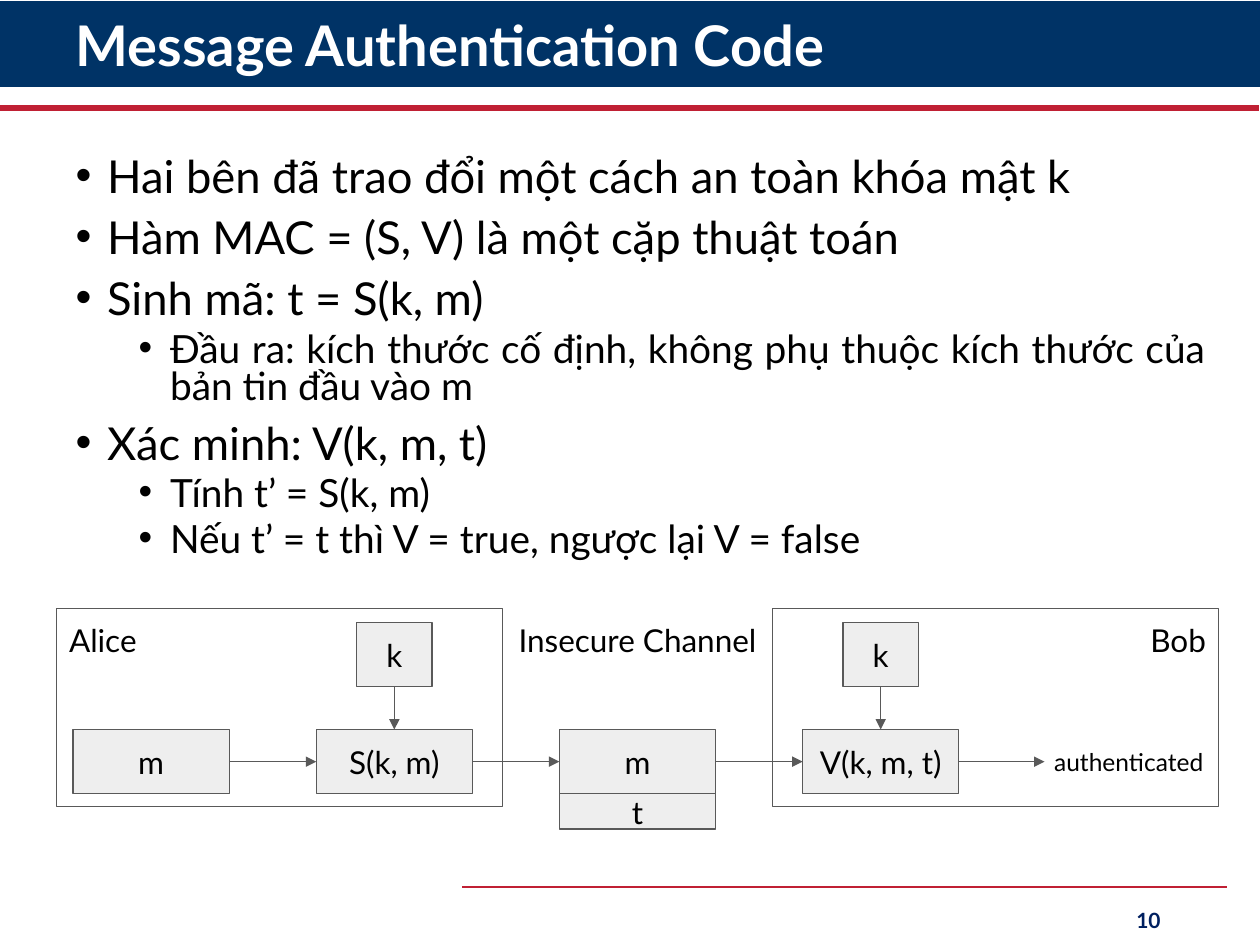
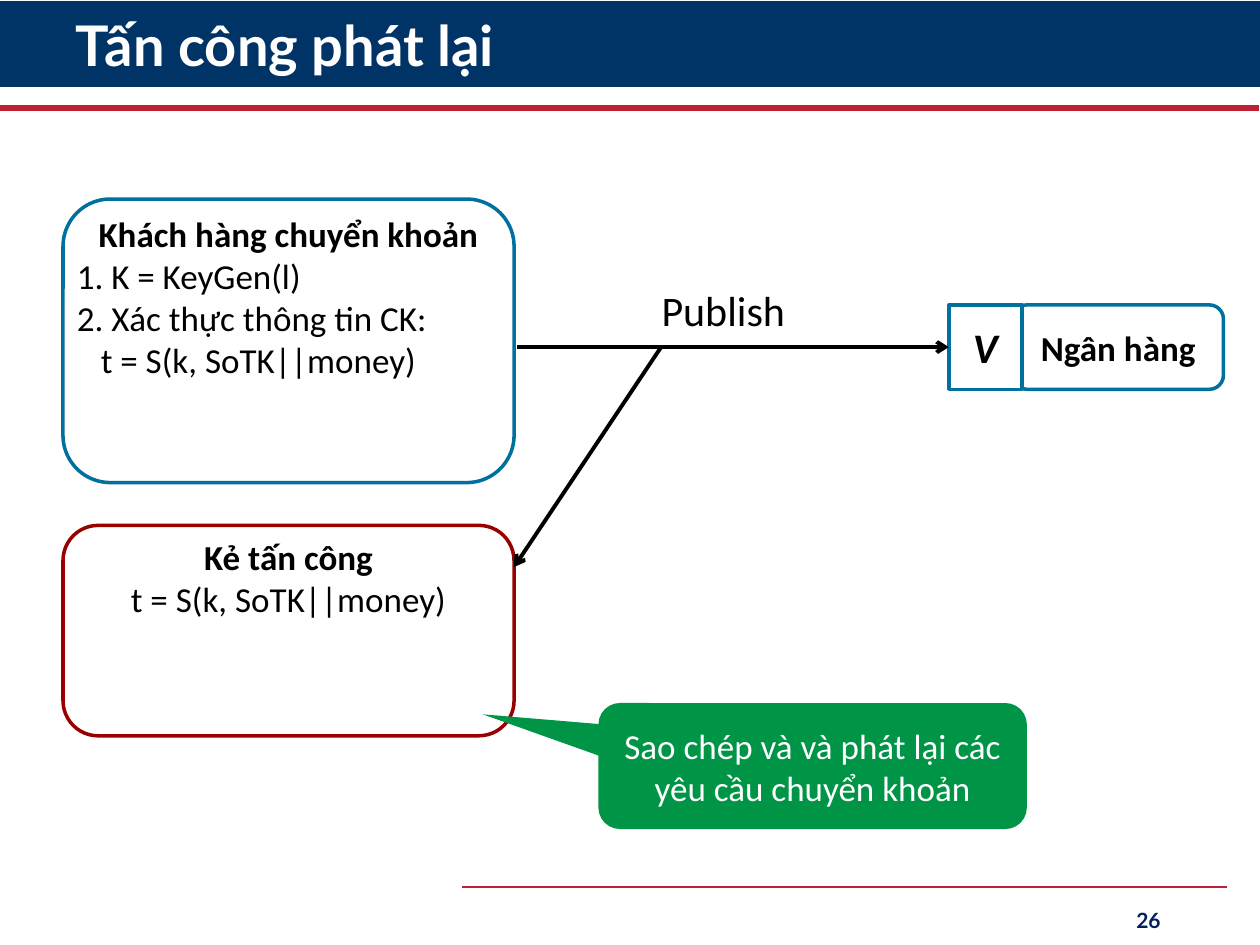
from pptx import Presentation
from pptx.dml.color import RGBColor
from pptx.enum.shapes import MSO_CONNECTOR, MSO_SHAPE
from pptx.enum.text import MSO_ANCHOR, MSO_AUTO_SIZE, PP_ALIGN
from pptx.oxml.ns import qn
from pptx.util import Inches, Pt
from lxml.etree import SubElement

COLORS = {
    "navy": "003366", "red": "C02034", "number": "002060", "white": "FFFFFF",
    "black": "000000", "gray": "595959", "light": "EEEEEE",
    "blue": "00709E", "crimson": "990000", "green": "009446",
}
LEFT, CENTER, RIGHT, JUSTIFY = PP_ALIGN.LEFT, PP_ALIGN.CENTER, PP_ALIGN.RIGHT, PP_ALIGN.JUSTIFY
TOP, MIDDLE = MSO_ANCHOR.TOP, MSO_ANCHOR.MIDDLE

# Slide 1: (level, text), then the diagram
MAC_TITLE, MAC_NUMBER = "Message Authentication Code", 10
MAC_POINTS = [
    (0, "Hai bên đã trao đổi một cách an toàn khóa mật k"),
    (0, "Hàm MAC = (S, V) là một cặp thuật toán"),
    (0, "Sinh mã: t = S(k, m)"),
    (1, "Đầu ra: kích thước cố định, không phụ thuộc kích thước của bản tin đầu vào m"),
    (0, "Xác minh: V(k, m, t)"),
    (1, "Tính t’ = S(k, m)"),
    (1, "Nếu t’ = t thì V = true, ngược lại V = false"),
]
LEVELS = [  # size, left margin, space before
    (25.9, 0.25, 10),
    (22.2, 0.75, 5),
]
STEPS = ["m", "S(k, m)", "m", "V(k, m, t)"]
KEYED_STEPS = [1, 3]
PARTY_X = [6.13, 0.45]
PARTY_Y, PARTY_W, PARTY_H = 4.83, 3.54, 1.57
STEP_X, STEP_Y, STEP_W, STEP_H, STEP_PITCH = 0.58, 5.79, 1.24, 0.51, 1.93
KEY_Y, KEY_W, TAG_H = 4.94, 0.6, 0.28
DIAGRAM_LABELS = [  # text, box, alignment, size
    ("Alice", (0.45, PARTY_Y, 0.84, 0.5), LEFT, 18),
    ("Bob", (8.83, PARTY_Y, 0.84, 0.5), RIGHT, 18),
    ("Insecure Channel", (3.99, PARTY_Y, 2.14, 0.5), CENTER, 18),
    ("authenticated", (8.01, 5.83, 1.64, 0.44), RIGHT, 14),
]

# Slide 2: paragraphs are (text, bold, alignment, left margin)
REPLAY_TITLE, REPLAY_NUMBER = "Tấn công phát lại", 26
CUSTOMER = [
    ("Khách hàng chuyển khoản", True, CENTER, 0),
    ("1. K = KeyGen(l)", False, LEFT, 0),
    ("2. Xác thực thông tin CK:", False, LEFT, 0),
    ("t = S(k, SoTK||money)", False, LEFT, 0.19),
]
ATTACKER = [
    ("Kẻ tấn công", True, CENTER, 0),
    ("t = S(k, SoTK||money)", False, CENTER, 0),
]
BANK = [("Ngân hàng", True, CENTER, 0)]
VERIFIER = [("V", True, CENTER, 0)]
REPLAY_NOTE = [("Sao chép và và phát lại các yêu cầu chuyển khoản", False, CENTER, 0)]


def rgb(name):
    return RGBColor.from_string(COLORS[name])


def place(sp, box):
    sp.left, sp.top, sp.width, sp.height = map(Inches, box)


def write(tf, paragraphs, font, size, color="black", anchor=TOP, inset=None, wrap=True):
    """Fill a text frame with (text, bold, alignment, left margin) paragraphs."""
    tf.word_wrap, tf.vertical_anchor, tf.auto_size = wrap, anchor, MSO_AUTO_SIZE.NONE
    if inset is not None:
        tf.margin_left = tf.margin_top = tf.margin_right = tf.margin_bottom = Inches(inset)
    tf.text = "\n".join(text for text, *_ in paragraphs)
    for p, (_, bold, align, margin) in zip(tf.paragraphs, paragraphs):
        p.alignment = align
        if margin:
            p._p.get_or_add_pPr().set("marL", str(Inches(margin)))
        for r in p.runs:
            r.font.name, r.font.size, r.font.bold = font, Pt(size), bold
            r.font.color.rgb = rgb(color)


def add_box(s, box, fill=None, line=None, width=0.75, kind=MSO_SHAPE.RECTANGLE):
    sp = s.shapes.add_shape(kind, *map(Inches, box))
    sp.shadow.inherit = False
    if fill:
        sp.fill.solid()
        sp.fill.fore_color.rgb = rgb(fill)
    else:
        sp.fill.background()
    if line:
        sp.line.color.rgb = rgb(line)
        sp.line.width = Pt(width)
    else:
        sp.line.fill.background()
    return sp


def add_line(s, start, end, color, width, arrow=None):
    """Draw a line; each end is an (x, y) point or a (shape, side) pair."""
    points = [(0, 0) if hasattr(e[0], "shape_id") else tuple(map(Inches, e))
              for e in (start, end)]
    c = s.shapes.add_connector(MSO_CONNECTOR.STRAIGHT, *points[0], *points[1])
    for e, connect in ((start, c.begin_connect), (end, c.end_connect)):
        if hasattr(e[0], "shape_id"):
            connect(*e)
    c.line.color.rgb = rgb(color)
    c.line.width = Pt(width)
    if arrow:
        SubElement(c.line._get_or_add_ln(), qn("a:tailEnd"), type=arrow)
    SubElement(c._element.spPr, qn("a:effectLst"))
    return c


def add_label(s, text, box, align, font, size, **style):
    tb = s.shapes.add_textbox(*map(Inches, box))
    bold = style.pop("bold", False)
    write(tb.text_frame, [(text, bold, align, 0)], font, size, **style)


def add_master_decor(prs, s):
    """Draw the band and rules, then move them to the master, behind every slide."""
    decor = [
        add_box(s, (0, 0.01, 10, 0.68), "navy"),
        add_line(s, (-0.01, 0.86), (9.99, 0.86), "red", 3.5),
        add_line(s, (3.67, 7.04), (9.74, 7.04), "red", 1.5),
    ]
    for sp in decor:
        prs.slide_master.shapes.element.append(sp.element)


def add_slide(prs, layout, title, number):
    s = prs.slides.add_slide(prs.slide_layouts[layout])
    place(s.shapes.title, (0.5, 0.08, 8.81, 0.61))
    write(s.shapes.title.text_frame, [(title, True, LEFT, 0)], "Lato", 32, "white", MIDDLE)
    s.shapes.title.text_frame.paragraphs[0].line_spacing = 0.9
    add_label(s, str(number), (7.06, 7.1, 2.25, 0.4), RIGHT, "Lato", 12,
              color="number", anchor=MIDDLE, bold=True)
    return s


def fill_points(body, points):
    place(body, (0.5, 1.21, 9.17, 3.45))
    paragraphs = [(text, False, JUSTIFY if i else LEFT, LEVELS[level][1])
                  for i, (level, text) in enumerate(points)]
    tf = body.text_frame
    write(tf, paragraphs, "Lato", LEVELS[0][0])
    for p, (level, _) in zip(tf.paragraphs, points):
        size, _, before = LEVELS[level]
        p.level, p.line_spacing, p.space_before = level, 0.8, Pt(before)
        p.runs[0].font.size = Pt(size)
        pPr = p._p.get_or_add_pPr()
        pPr.set("indent", str(-Inches(0.25)))
        SubElement(pPr, qn("a:buFont"), typeface="Arial")
        SubElement(pPr, qn("a:buChar"), char="•")


def add_step(s, text, box):
    sp = add_box(s, box, "light", "gray")
    write(sp.text_frame, [(text, False, CENTER, 0)], "Lato", 18, anchor=MIDDLE, inset=0.1)
    return sp


def draw_mac_diagram(s):
    for x in PARTY_X:
        add_box(s, (x, PARTY_Y, PARTY_W, PARTY_H), line="gray")
    xs = [STEP_X + STEP_PITCH * i for i in range(len(STEPS))]
    steps = [add_step(s, text, (x, STEP_Y, STEP_W, STEP_H)) for x, text in zip(xs, STEPS)]
    for a, b in zip(steps, steps[1:]):
        add_line(s, (a, 3), (b, 1), "gray", 0.75, "triangle")
    add_line(s, (steps[-1], 3), (8.29, STEP_Y + STEP_H / 2), "gray", 0.75, "triangle")
    for i in KEYED_STEPS:
        key = add_step(s, "k", (xs[i] + (STEP_W - KEY_W) / 2, KEY_Y, KEY_W, STEP_H))
        add_line(s, (key, 2), (steps[i], 0), "gray", 0.75, "triangle")
    add_step(s, "t", (xs[2], STEP_Y + STEP_H, STEP_W, TAG_H))
    for text, box, align, size in DIAGRAM_LABELS:
        add_label(s, text, box, align, "Lato", size, inset=0.1)


def add_actor(s, paragraphs, box, line, anchor=TOP, size=20, kind=MSO_SHAPE.ROUNDED_RECTANGLE):
    sp = add_box(s, box, "white", line, 2, kind)
    write(sp.text_frame, paragraphs, "Calibri", size, anchor=anchor, inset=0)
    return sp


def draw_replay_attack(s):
    add_actor(s, CUSTOMER, (0.5, 1.58, 3.58, 2.25), "blue")
    add_label(s, "Publish", (5.25, 2.26, 1.11, 0.4), LEFT, "Calibri", 24, inset=0, wrap=False)
    add_actor(s, ATTACKER, (0.5, 4.17, 3.58, 1.67), "crimson")

    note = add_box(s, (4.75, 5.58, 3.4, 1), "green", kind=MSO_SHAPE.ROUNDED_RECTANGULAR_CALLOUT)
    for i, value in enumerate((-0.77, -0.41, 0.17)):
        note.adjustments[i] = value
    write(note.text_frame, REPLAY_NOTE, "Calibri", 20, "white", MIDDLE, 0)

    add_actor(s, BANK, (8.04, 2.42, 1.67, 0.67), "blue", MIDDLE)
    verifier = add_actor(s, VERIFIER, (7.53, 2.42, 0.58, 0.67), "blue", MIDDLE, 24,
                         MSO_SHAPE.RECTANGLE)
    verifier.text_frame.paragraphs[0].runs[0].font.italic = True
    add_line(s, (4.1, 2.755), (verifier, 1), "black", 2.25, "arrow")
    add_line(s, (5.25, 2.75), (4.08, 4.5), "black", 2.25, "arrow")


def main():
    prs = Presentation()
    prs.slide_width, prs.slide_height = Inches(10), Inches(7.5)

    s = add_slide(prs, 1, MAC_TITLE, MAC_NUMBER)
    add_master_decor(prs, s)
    fill_points(s.placeholders[1], MAC_POINTS)
    draw_mac_diagram(s)

    s = add_slide(prs, 5, REPLAY_TITLE, REPLAY_NUMBER)
    draw_replay_attack(s)

    prs.save("out.pptx")


if __name__ == "__main__":
    main()
